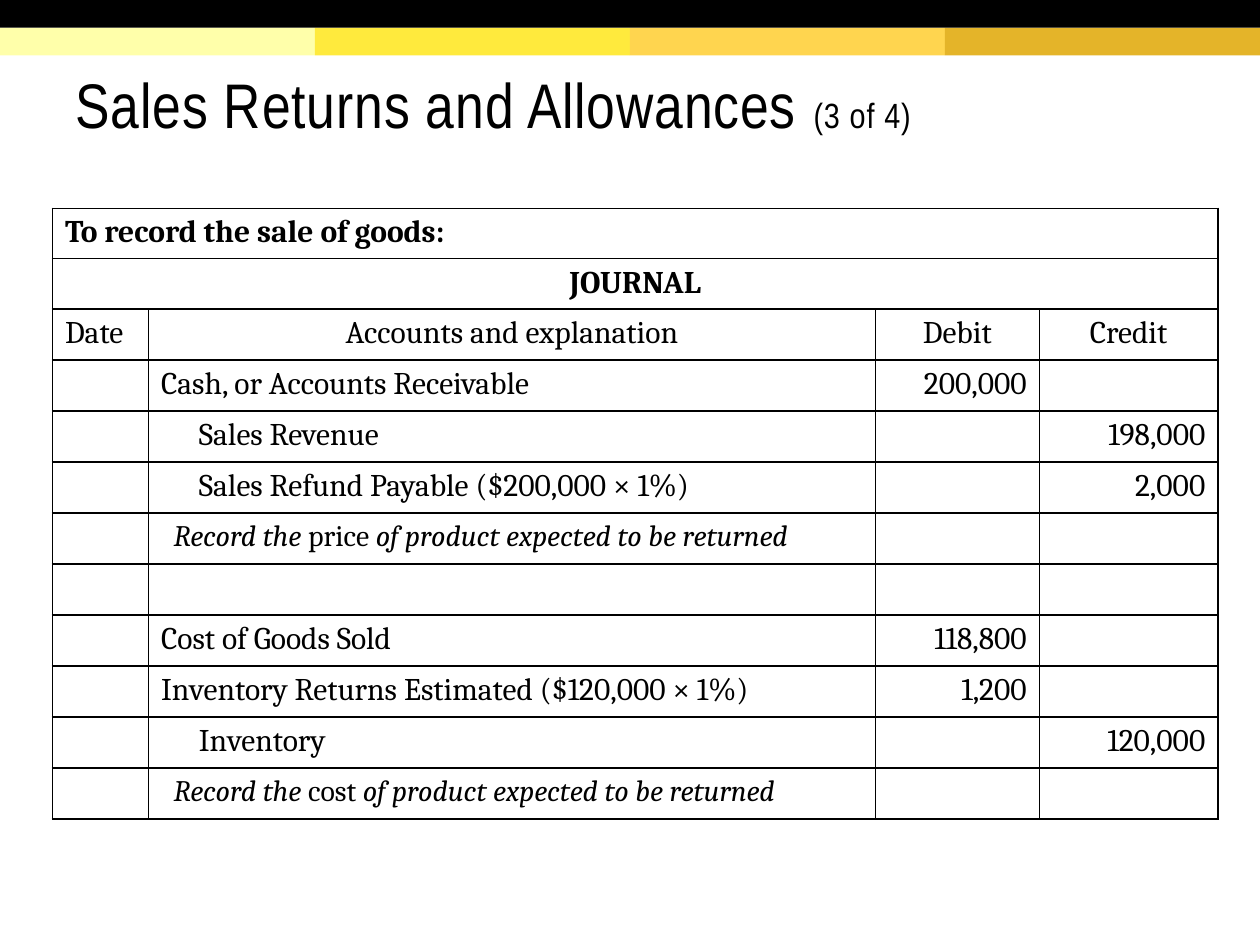
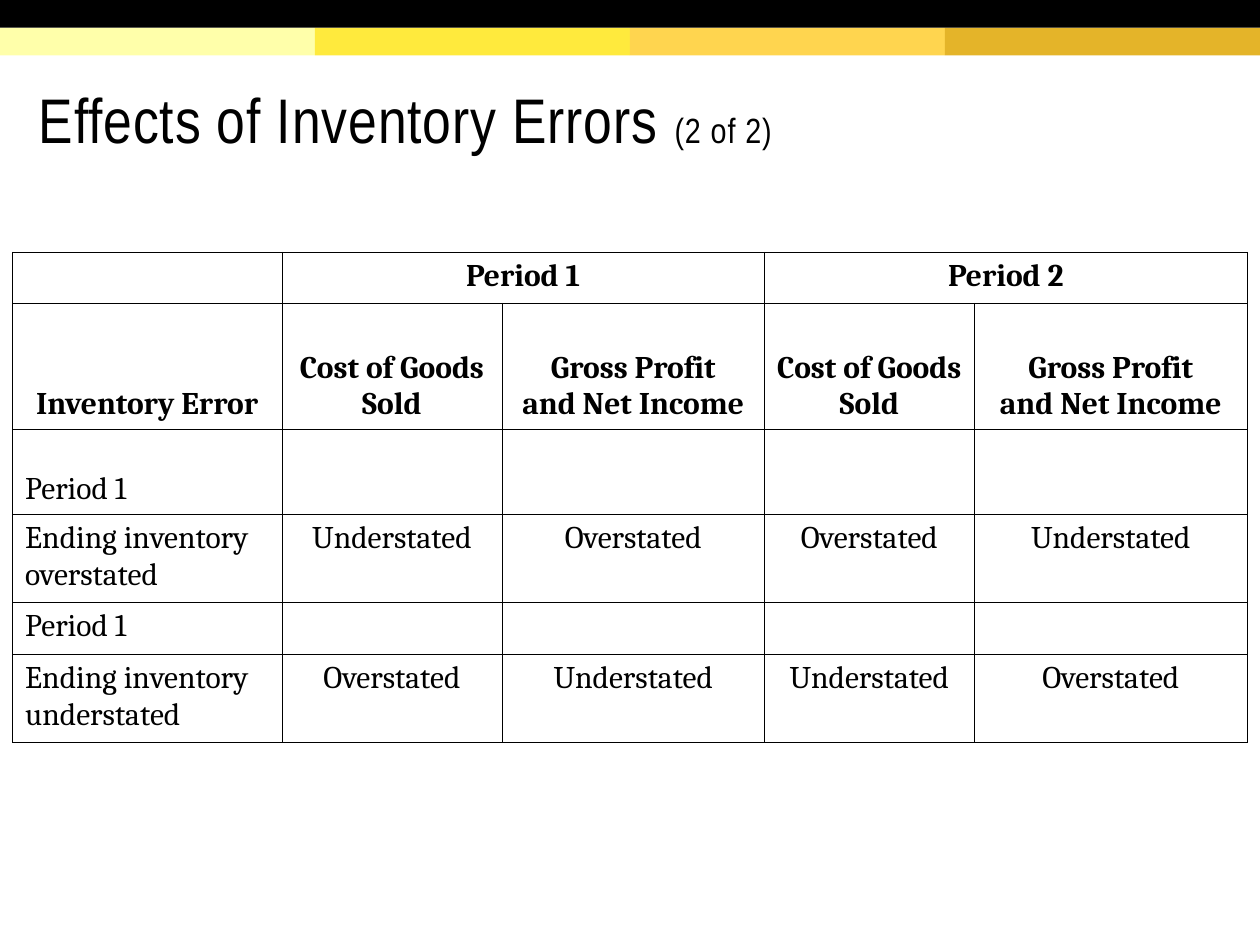
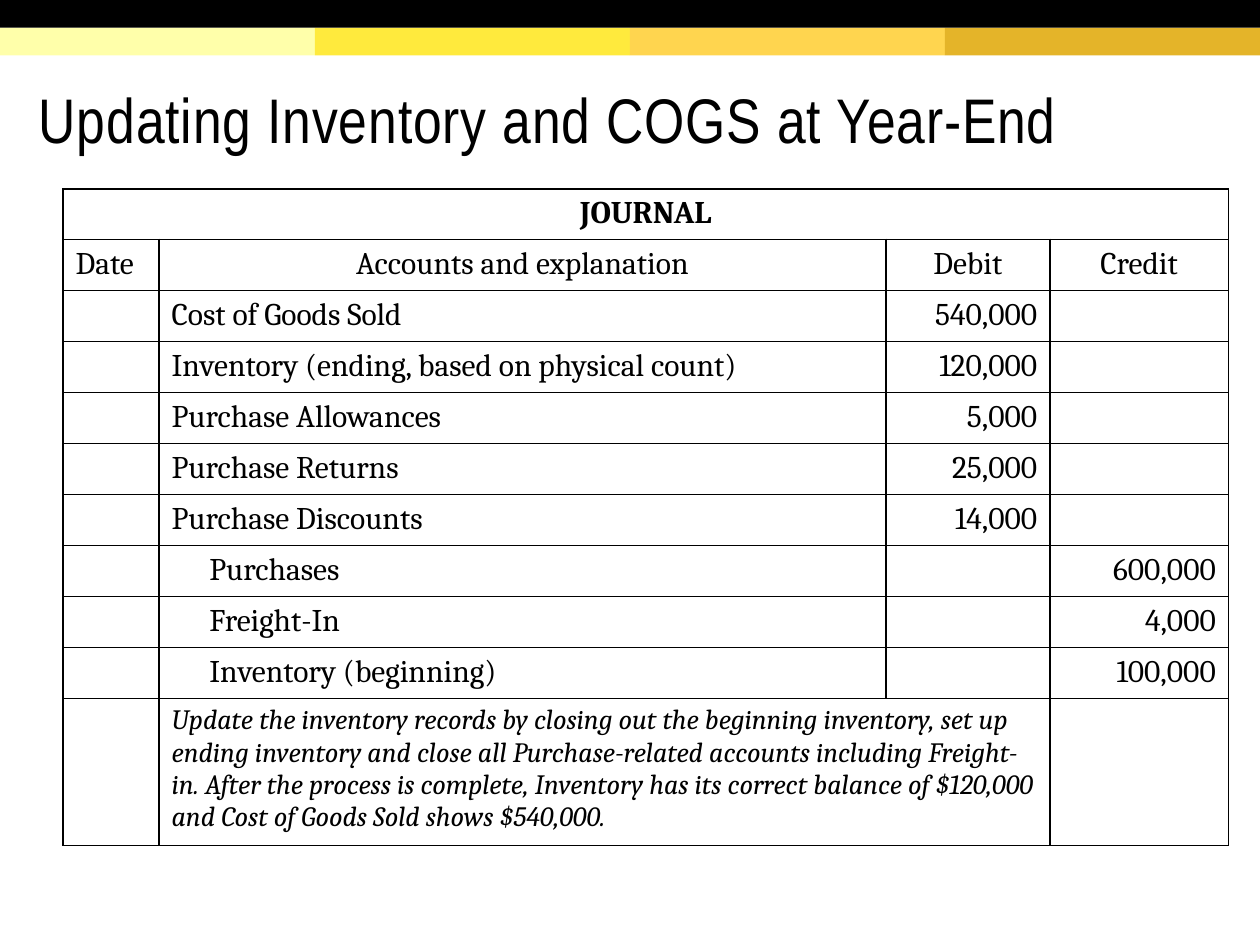
import itertools

import lxml.etree
import pptx
import pptx.dml.color
import pptx.enum.shapes
import pptx.enum.text
import pptx.oxml.ns
import pptx.util

Pt = pptx.util.Pt
ALIGN = pptx.enum.text.PP_ALIGN
ANCHOR = pptx.enum.text.MSO_ANCHOR


class Theme:
    ink = "000000"
    bands = ("FFFFAA", "FFEA3D", "FFD54F", "E4B429")
    title_font, body_font = "Arial Narrow", "Cambria"
    title_size, count_size = 36, 20
    body_size, remark_size, note_size = 18, 17, 16
    width, height, band_height = 720, 540, 15.84
    title_tracking = 0.5


STYLES = {
    "left": {},
    "center": {"align": ALIGN.CENTER},
    "right": {"align": ALIGN.RIGHT},
    "caption": {"bold": True},
    "head": {"align": ALIGN.CENTER, "bold": True},
    "low head": {"align": ALIGN.CENTER, "bold": True, "anchor": ANCHOR.BOTTOM},
    "low": {"anchor": ANCHOR.BOTTOM},
    "credit": {"indent": 21.6},
    "remark": {"indent": 7.2, "size": Theme.remark_size},
    "note": {"size": Theme.note_size, "italic": True},
}


def entry(account, debit="", credit="", style="left"):
    return [("left", ""), (style, account), ("right", debit), ("right", credit)]


def remark(word):
    return entry([("Record the ", True), (word, False),
                  (" of product expected to be returned", True)], style="remark")


def effect(error, *results):
    return [("left", error)] + [("center", result) for result in results]


JOURNAL_HEAD = [
    [("head", "JOURNAL"), None, None, None],
    [("left", "Date"), ("center", "Accounts and explanation"),
     ("center", "Debit"), ("center", "Credit")],
]
JOURNAL_COLS = (54.9, 415.4, 93.6, 102.1)
MEASURES = [("low head", "Cost of Goods Sold"),
            ("low head", "Gross Profit\nand Net Income")]
TITLE_BOX = (15.12, 33.84, 683.28, 70.56)

SLIDES = [
    {
        "title": ("Sales Returns and Allowances ", "(3 of 4)"),
        "title_box": (36, 17.28, 666, 86.4),
        "at": (30, 119),
        "line": 1,
        "cols": JOURNAL_COLS,
        "heights": [28.8] * 2 + [29.16] * 10,
        "rows": [
            [("caption", "To record the sale of goods:"), None, None, None],
            *JOURNAL_HEAD,
            entry("Cash, or Accounts Receivable", "200,000"),
            entry("Sales Revenue", credit="198,000", style="credit"),
            entry("Sales Refund Payable ($200,000 × 1%)", credit="2,000", style="credit"),
            remark("price"),
            entry(""),
            entry("Cost of Goods Sold", "118,800"),
            entry("Inventory Returns Estimated ($120,000 × 1%)", "1,200"),
            entry("Inventory", credit="120,000", style="credit"),
            remark("cost"),
        ],
    },
    {
        "title": ("Effects of Inventory Errors ", "(2 of 2)"),
        "title_box": TITLE_BOX,
        "at": (7.2, 144),
        "line": 0.25,
        "cols": (153.8, 126, 149.8, 120, 156),
        "heights": [29.16, 72, 48.6, 50.3, 29.6, 50.3],
        "rows": [
            [("left", ""), ("head", "Period 1"), None, ("head", "Period 2"), None],
            [("low head", "Inventory Error")] + MEASURES * 2,
            [("low", "Period 1")] + [("center", "")] * 4,
            effect("Ending inventory overstated",
                   "Understated", "Overstated", "Overstated", "Understated"),
            effect("Period 1", "", "", "", ""),
            effect("Ending inventory understated",
                   "Overstated", "Understated", "Understated", "Overstated"),
        ],
    },
    {
        "title": ("Updating Inventory and COGS at Year-End",),
        "title_box": TITLE_BOX,
        "at": (36, 108),
        "line": 1,
        "cols": JOURNAL_COLS,
        "heights": [28.8] + [29.16] * 9 + [81],
        "rows": [
            *JOURNAL_HEAD,
            entry("Cost of Goods Sold", "540,000"),
            entry("Inventory (ending, based on physical count)", "120,000"),
            entry("Purchase Allowances", "5,000"),
            entry("Purchase Returns", "25,000"),
            entry("Purchase Discounts", "14,000"),
            entry("Purchases", credit="600,000", style="credit"),
            entry("Freight-In", credit="4,000", style="credit"),
            entry("Inventory (beginning)", credit="100,000", style="credit"),
            [("left", ""),
             ("note", "Update the inventory records by closing out the beginning inventory, "
                      "set up ending inventory and close all Purchase-related accounts "
                      "including Freight-in. After the process is complete, Inventory has "
                      "its correct balance of $120,000 and Cost of Goods Sold shows $540,000."),
             None, ("right", "")],
        ],
    },
]


def rgb(color):
    return pptx.dml.color.RGBColor.from_string(color)


def add_band(s, left, top, width, color):
    sp = s.shapes.add_shape(pptx.enum.shapes.MSO_SHAPE.RECTANGLE,
                            Pt(left), Pt(top), Pt(width), Pt(Theme.band_height))
    sp.shadow.inherit = False
    sp.fill.solid()
    sp.fill.fore_color.rgb = rgb(color)
    sp.line.fill.background()


def add_bands(s):
    width = Theme.width / len(Theme.bands)
    for i, color in enumerate(Theme.bands):
        add_band(s, i * width, Theme.band_height, width, color)
    add_band(s, 0, 0, Theme.width, Theme.ink)


def add_title(s, parts, box):
    tf = s.shapes.add_textbox(*map(Pt, box)).text_frame
    tf.word_wrap = True
    tf.vertical_anchor = ANCHOR.MIDDLE
    tf.margin_left = tf.margin_right = tf.margin_top = Pt(7.2)
    tf.margin_bottom = Pt(3.6)
    p = tf.paragraphs[0]
    p.line_spacing = 0.85
    p.font.name = Theme.title_font
    p.font.color.rgb = rgb(Theme.ink)
    for text, size in zip(parts, (Theme.title_size, Theme.count_size)):
        r = p.add_run()
        r.text = text
        r.font.size = Pt(size)
        r._r.get_or_add_rPr().set("spc", str(int(Theme.title_tracking * 100)))


def set_borders(cell, width):
    tc_pr = cell._tc.get_or_add_tcPr()
    for side in ("a:lnL", "a:lnR", "a:lnT", "a:lnB"):
        ln = lxml.etree.SubElement(tc_pr, pptx.oxml.ns.qn(side), w=str(int(Pt(width))))
        fill = lxml.etree.SubElement(ln, pptx.oxml.ns.qn("a:solidFill"))
        lxml.etree.SubElement(fill, pptx.oxml.ns.qn("a:srgbClr"), val=Theme.ink)


def fill_cell(cell, content, align=ALIGN.LEFT, anchor=ANCHOR.TOP, bold=False,
              italic=None, indent=0, size=Theme.body_size):
    cell.vertical_anchor = anchor
    tf = cell.text_frame
    if isinstance(content, str):
        tf.text = content
    else:
        for text, slanted in content:
            r = tf.paragraphs[0].add_run()
            r.text = text
            r.font.italic = slanted
    for p in tf.paragraphs:
        p.alignment = align
        if indent:
            p._p.get_or_add_pPr().set("marL", str(int(Pt(indent))))
        p.font.name = Theme.body_font
        p.font.size = Pt(size)
        p.font.bold = bold
        p.font.italic = italic
        p.font.color.rgb = rgb(Theme.ink)


def add_ledger(s, at, cols, heights, rows, line):
    table = s.shapes.add_table(len(rows), len(cols), *map(Pt, at),
                               Pt(sum(cols)), Pt(sum(heights))).table
    table.first_row = table.horz_banding = False
    for column, width in zip(table.columns, cols):
        column.width = Pt(width)
    for row, height in zip(table.rows, heights):
        row.height = Pt(height)
    for i, cells in enumerate(rows):
        for j, content in enumerate(cells):
            cell = table.cell(i, j)
            set_borders(cell, line)
            cell.fill.background()
            if content is None:
                continue
            style, text = content
            fill_cell(cell, text, **STYLES[style])
            covered = itertools.takewhile(lambda c: c is None, cells[j + 1:])
            span = len(list(covered))
            if span:
                cell.merge(table.cell(i, j + span))


def main():
    prs = pptx.Presentation()
    prs.slide_width, prs.slide_height = Pt(Theme.width), Pt(Theme.height)
    for slide in SLIDES:
        s = prs.slides.add_slide(prs.slide_layouts[6])
        add_bands(s)
        add_title(s, slide["title"], slide["title_box"])
        add_ledger(s, slide["at"], slide["cols"], slide["heights"],
                   slide["rows"], slide["line"])
    prs.save("out.pptx")


if __name__ == "__main__":
    main()
